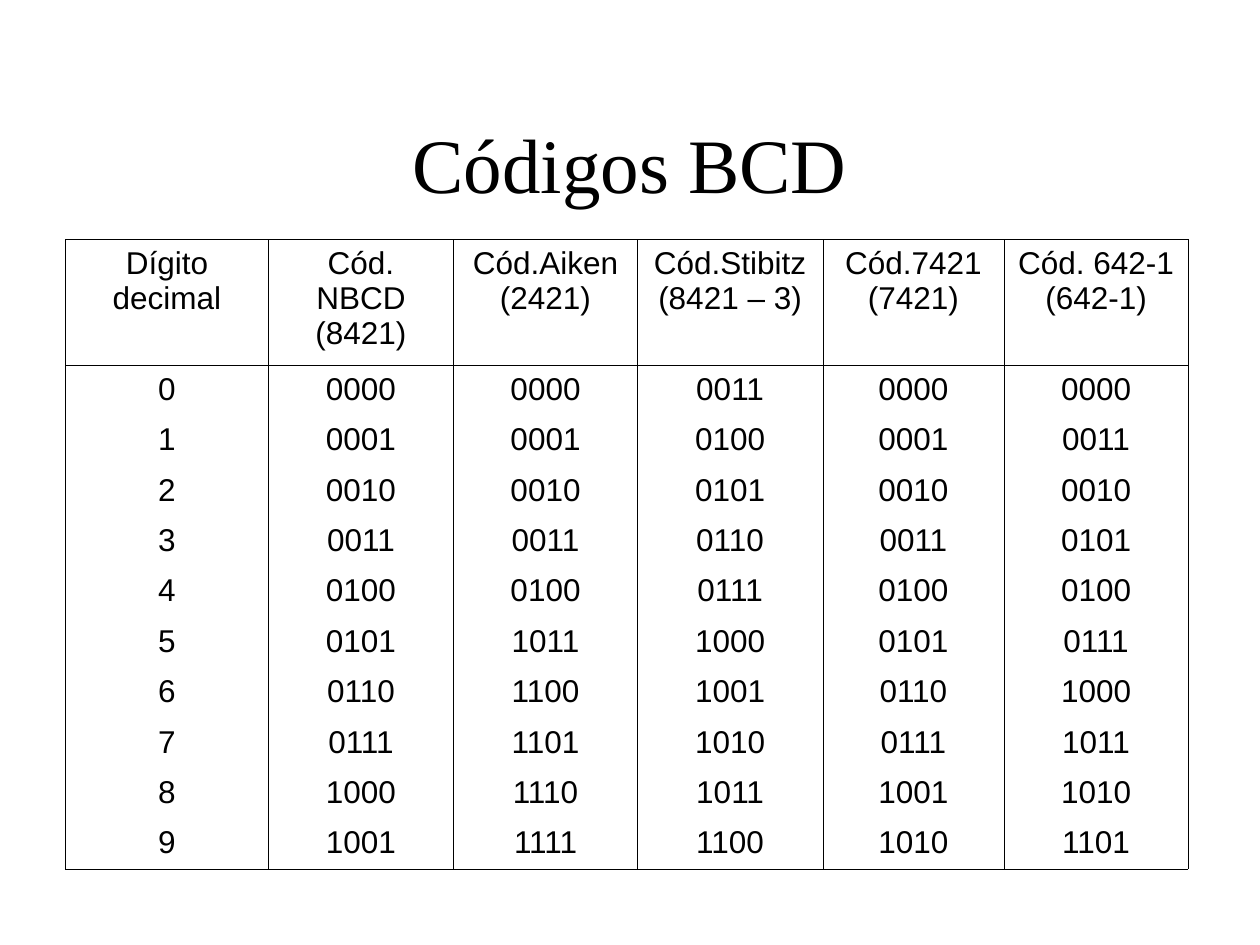
"""Build a slide with a table of BCD codes for the decimal digits."""
from lxml import etree
from pptx import Presentation
from pptx import util as u
from pptx.dml.color import RGBColor
from pptx.enum import text
from pptx.oxml import ns

BLACK = RGBColor(0x00, 0x00, 0x00)
TITLE = "Códigos BCD"
HEADERS = [
    "Dígito decimal",
    "Cód. NBCD\n(8421)",
    "Cód.Aiken\n(2421)",
    "Cód.Stibitz\n(8421 – 3)",
    "Cód.7421\n(7421)",
    "Cód. 642-1\n(642-1)",
]
CODES = [
    ("0", "0000", "0000", "0011", "0000", "0000"),
    ("1", "0001", "0001", "0100", "0001", "0011"),
    ("2", "0010", "0010", "0101", "0010", "0010"),
    ("3", "0011", "0011", "0110", "0011", "0101"),
    ("4", "0100", "0100", "0111", "0100", "0100"),
    ("5", "0101", "1011", "1000", "0101", "0111"),
    ("6", "0110", "1100", "1001", "0110", "1000"),
    ("7", "0111", "1101", "1010", "0111", "1011"),
    ("8", "1000", "1110", "1011", "1001", "1010"),
    ("9", "1001", "1111", "1100", "1010", "1101"),
]
COLUMN_WIDTHS = [1.61, 1.47, 1.46, 1.47, 1.44, 1.46]
HEADER_HEIGHT, CODE_HEIGHT = 1, 0.4
BORDER_WIDTH = u.Pt(0.06)


def write_text(frame, content, *, font, size, color=BLACK):
    frame.text = content
    for paragraph in frame.paragraphs:
        paragraph.alignment = text.PP_ALIGN.CENTER
        paragraph.font.name = font
        paragraph.font.size = u.Pt(size)
        paragraph.font.color.rgb = color


def set_borders(cell, visible_sides):
    properties = cell._tc.get_or_add_tcPr()
    for side in "LRTB":
        line = etree.SubElement(properties, ns.qn(f"a:ln{side}"), w=str(int(BORDER_WIDTH)))
        if side in visible_sides:
            fill = etree.SubElement(line, ns.qn("a:solidFill"))
            etree.SubElement(fill, ns.qn("a:srgbClr"), val=str(BLACK))
        else:
            etree.SubElement(line, ns.qn("a:noFill"))


def add_title(slide):
    title = slide.shapes.title
    title.left, title.top = u.Inches(0.75), u.Inches(0.67)
    title.width, title.height = u.Inches(8.5), u.Inches(1.25)
    title.text_frame.vertical_anchor = text.MSO_ANCHOR.MIDDLE
    write_text(title.text_frame, TITLE, font="Times New Roman", size=44)


def add_code_table(slide):
    rows = [HEADERS, *CODES]
    heights = [HEADER_HEIGHT] + [CODE_HEIGHT] * len(CODES)
    table = slide.shapes.add_table(
        len(rows), len(HEADERS), u.Inches(0.52), u.Inches(1.9),
        u.Inches(sum(COLUMN_WIDTHS)), u.Inches(sum(heights)),
    ).table
    table.first_row = table.horz_banding = False
    for column, width in zip(table.columns, COLUMN_WIDTHS):
        column.width = u.Inches(width)
    for row, height in zip(table.rows, heights):
        row.height = u.Inches(height)
    sides = {0: "LRTB", 1: "LRT", len(CODES): "LRB"}
    for row_index, values in enumerate(rows):
        for column_index, value in enumerate(values):
            cell = table.cell(row_index, column_index)
            set_borders(cell, sides.get(row_index, "LR"))
            cell.fill.background()
            write_text(cell.text_frame, value, font="Arial", size=18)


def main():
    presentation = Presentation()
    presentation.slide_width, presentation.slide_height = u.Inches(10), u.Inches(7.5)
    slide = presentation.slides.add_slide(presentation.slide_layouts[5])
    add_title(slide)
    add_code_table(slide)
    presentation.save("out.pptx")


if __name__ == "__main__":
    main()
